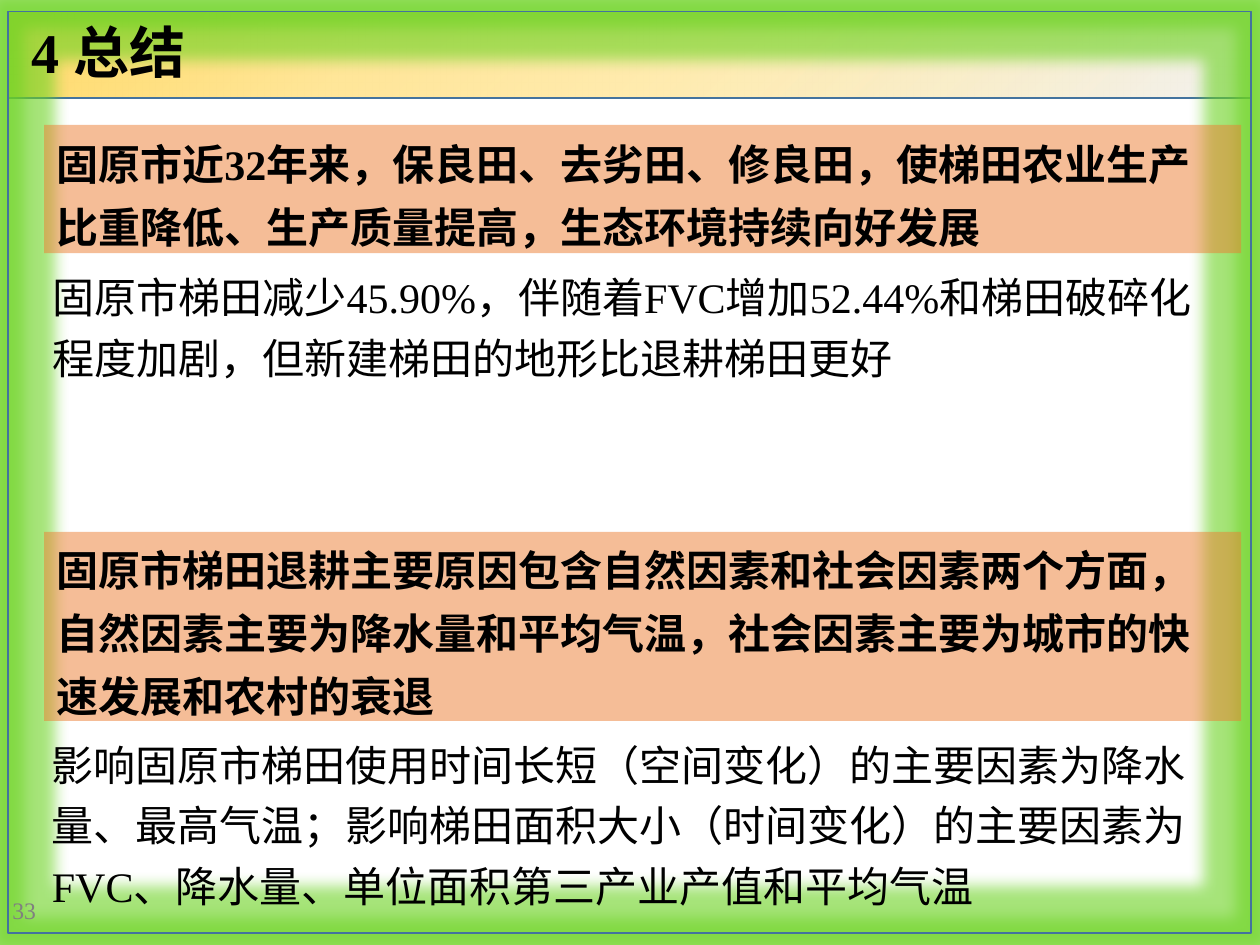
from lxml import etree
from pptx import Presentation
from pptx.dml.color import RGBColor
from pptx.enum.shapes import MSO_SHAPE
from pptx.enum.text import MSO_ANCHOR, PP_ALIGN
from pptx.oxml import parse_xml
from pptx.oxml.ns import nsdecls, qn
from pptx.util import Pt

RECT = MSO_SHAPE.RECTANGLE
TOP, MIDDLE = MSO_ANCHOR.TOP, MSO_ANCHOR.MIDDLE
LEFT = PP_ALIGN.LEFT

FONT = "Times New Roman"
EDGE, GLOW, BAND = "43739E", "6BD321", "ED7D31"
HEADER_STOPS = [(0, "FFD966", 100), (30, "FFE699", 100),
                (54, "FFE699", 78), (100, "F2F2F2", 100)]
TITLE = "4 总结"
PAGE = "33"
SECTIONS = [
    {"top": 71.3, "height": 73.4, "left": 23,
     "head": "固原市近32年来，保良田、去劣田、修良田，使梯田农业生产比重降低、生产质量提高，生态环境持续向好发展",
     "body": "固原市梯田减少45.90%，伴随着FVC增加52.44%和梯田破碎化程度加剧，但新建梯田的地形比退耕梯田更好"},
    {"top": 304, "height": 108, "left": 22.6,
     "head": "固原市梯田退耕主要原因包含自然因素和社会因素两个方面，自然因素主要为降水量和平均气温，社会因素主要为城市的快速发展和农村的衰退",
     "body": "影响固原市梯田使用时间长短（空间变化）的主要因素为降水量、最高气温；影响梯田面积大小（时间变化）的主要因素为FVC、降水量、单位面积第三产业产值和平均气温"},
]


def rgb(value):
    return RGBColor.from_string(value)


def color_xml(value, alpha):
    return f'<a:srgbClr val="{value}"><a:alpha val="{alpha * 1000}"/></a:srgbClr>'


def place(sp, left, top, width, height):
    sp.left, sp.top, sp.width, sp.height = Pt(left), Pt(top), Pt(width), Pt(height)


def add_rect(s, left, top, width, height, line=None):
    sp = s.shapes.add_shape(RECT, Pt(left), Pt(top), Pt(width), Pt(height))
    sp.shadow.inherit = False
    sp.fill.background()
    if line:
        sp.line.color.rgb = rgb(line)
        sp.line.width = Pt(1)
    else:
        sp.line.fill.background()
    return sp


def add_box(s, left, top, width, height):
    return s.shapes.add_textbox(Pt(left), Pt(top), Pt(width), Pt(height))


def write(sp, text, size=24, color="000000", bold=False, spacing=1.0, anchor=TOP):
    tf = sp.text_frame
    tf.word_wrap = True
    tf.vertical_anchor = anchor
    p = tf.paragraphs[0]
    p.alignment = LEFT
    p.line_spacing = spacing
    r = p.add_run()
    r.text = text
    r.font.name = FONT
    r.font.size = Pt(size)
    r.font.bold = bold
    r.font.color.rgb = rgb(color)


def fill_gradient(sp, stops, angle):
    gs = "".join(f'<a:gs pos="{pos * 1000}">{color_xml(c, a)}</a:gs>' for pos, c, a in stops)
    grad = parse_xml(f'<a:gradFill {nsdecls("a")} rotWithShape="1"><a:gsLst>{gs}</a:gsLst>'
                     f'<a:lin ang="{angle * 60000}" scaled="0"/></a:gradFill>')
    spPr = sp.element.spPr
    spPr.replace(spPr.find(qn("a:noFill")), grad)


def add_glow(sp, color, radius, alpha):
    effects = sp.element.spPr.find(qn("a:effectLst"))
    effects.append(parse_xml(f'<a:glow {nsdecls("a")} rad="{Pt(radius)}">'
                             f'{color_xml(color, alpha)}</a:glow>'))


def add_section(s, top, height, left, head, body):
    band = add_rect(s, 25.2, top, 684, height)
    band.fill.solid()
    band.fill.fore_color.rgb = rgb(BAND)
    clr = band.element.spPr.find(qn("a:solidFill"))[0]
    etree.SubElement(clr, qn("a:alpha")).set("val", "50000")
    write(band, head, bold=True, spacing=1.25, anchor=MIDDLE)
    write(add_box(s, left, top + height + 1.2, 674.6, height), body, spacing=1.2)


def main():
    """Build the summary slide."""
    prs = Presentation()
    prs.slide_width, prs.slide_height = Pt(720), Pt(540)
    s = prs.slides.add_slide(prs.slide_layouts[5])

    fill_gradient(add_rect(s, 4.5, 6.6, 710.6, 49.6, line=EDGE), HEADER_STOPS, 45)
    add_glow(add_rect(s, 4.5, 6.6, 710.6, 526.5, line=EDGE), GLOW, 18, 60)

    title = s.shapes.title
    s.shapes.element.append(title.element)
    place(title, 10.6, 6.6, 265.7, 46)
    write(title, TITLE, size=32, bold=True)

    for section in SECTIONS:
        add_section(s, **section)
    write(add_box(s, 0, 508.3, 87.8, 28.8), PAGE, size=13.5, color="808080")
    prs.save("out.pptx")


if __name__ == "__main__":
    main()
